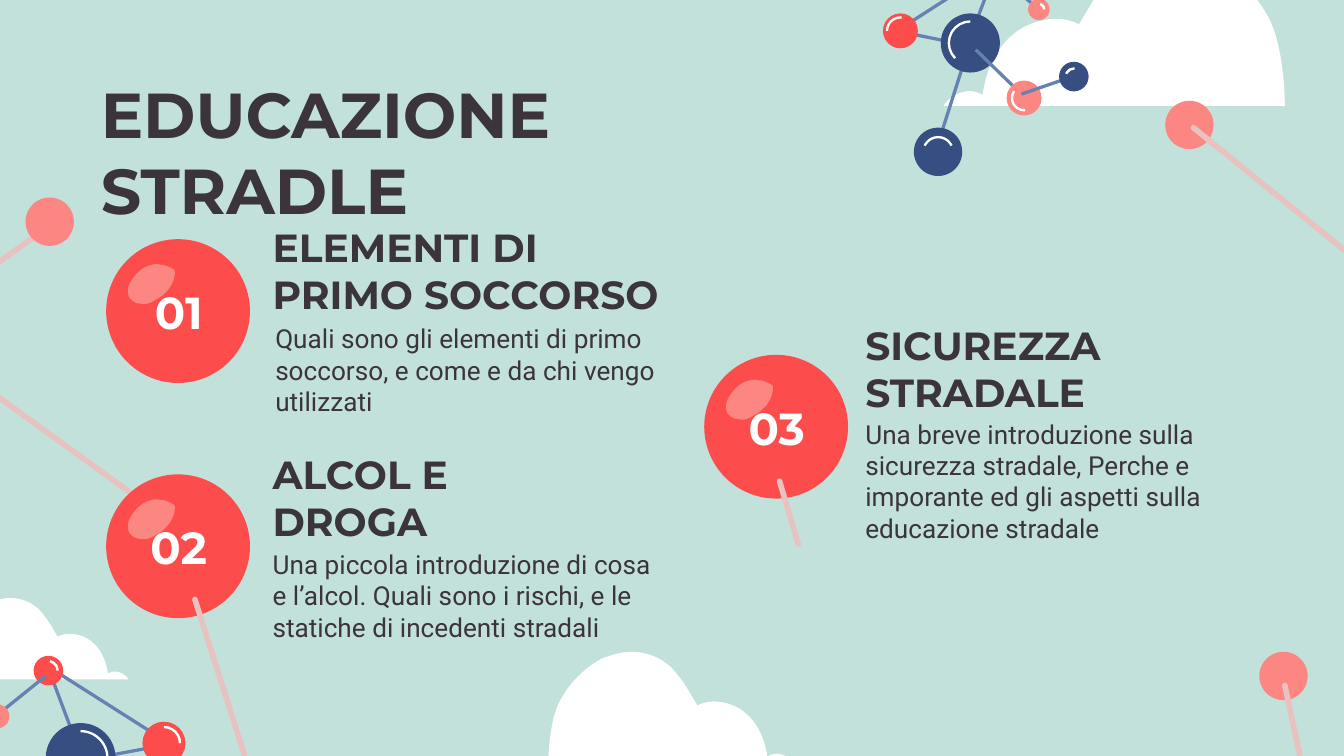
from pptx import Presentation
from pptx.dml.color import RGBColor
from pptx.enum.shapes import MSO_CONNECTOR, MSO_SHAPE
from pptx.enum.text import MSO_ANCHOR, MSO_AUTO_SIZE, PP_ALIGN
from pptx.oxml.ns import qn
from pptx.util import Inches, Pt
from lxml.etree import SubElement

HUES = {
    "mint": "C2E1DA", "white": "FFFFFF", "ink": "3B343B", "red": "FC4C4C",
    "pink": "FC8782", "rose": "E8C2C1", "navy": "364E82", "blue": "6582B2",
}
HEAD, BODY = "Montserrat", "Roboto"

CLOUD = [
    (.63, 0),
    (.55, 0, .48, .02, .4, .05), (.27, .12, .16, .23, .09, .36),
    (.03, .46, 0, .68, 0, .84), (0, .84, 1.84, .84, 1.84, .84),
    (1.81, .79, 1.75, .76, 1.7, .76), (1.67, .76, 1.65, .77, 1.63, .78),
    (1.61, .65, 1.56, .53, 1.46, .45), (1.4, .4, 1.31, .37, 1.23, .37),
    (1.19, .37, 1.15, .38, 1.11, .4), (1.06, .32, 1.02, .24, .96, .17),
    (.91, .1, .84, .05, .75, .02), (.71, .01, .67, 0, .63, 0),
]
GLEAM = [
    (.4, .19),
    (.37, .18, .34, .19, .31, .2), (.25, .22, .2, .28, .17, .34),
    (.16, .37, .16, .4, .17, .43), (.19, .46, .22, .48, .26, .48),
    (.3, .49, .34, .47, .37, .45), (.45, .41, .52, .32, .51, .23),
    (.48, .21, .44, .19, .4, .19),
]
UPPER = [
    ("bond", .9, .05, .73, .5), ("bond", .22, .49, .66, .58),
    ("bond", .69, .66, .47, 1.35),
    ("ball", .48, 1.38, .18, "navy", .11, 205, 335),
    ("ball", .72, .57, .22, "navy", .16, 135, 270),
    ("bond", .76, .62, 1.11, .96),
    ("ball", 1.12, .98, .13, "pink", .09, 85, 215),
    ("bond", .89, .02, .19, .47), ("bond", .93, .07, 1.22, .31),
    ("bond", 1.45, .83, 1.1, .95),
    ("ball", 1.23, .32, .08, "pink", .04, 285, 360),
    ("ball", 1.49, .82, .11, "navy", .06, 200, 275),
    ("ball", .2, .48, .13, "red", .1, 180, 275),
]
LOWER = [
    ("bond", .57, .2, .78, .76), ("bond", 1.39, .75, .86, .85),
    ("ball", .8, .84, .26, "navy", .2, 270, 40),
    ("bond", .59, .18, 1.44, .72),
    ("ball", .56, .19, .11, "red", .07, 280, 360),
    ("bond", .54, .23, .18, .52),
    ("ball", .18, .53, .09, "pink"),
    ("ball", 1.42, .73, .16, "red", .12, 270, 360),
]
ITEMS = [
    ("01", (.79, 1.78), "ELEMENTI DI PRIMO SOCCORSO", (1.93, 1.58, 3.14, .88),
     "Quali sono gli elementi di primo soccorso, e come e da chi vengo utilizzati",
     (1.95, 2.3, 3.14, .82)),
    ("03", (5.24, 2.64), "SICUREZZA STRADALE", (6.34, 2.47, 1.98, .72),
     "Una breve introduzione sulla sicurezza stradale, Perche e imporante ed gli "
     "aspetti sulla educazione stradale", (6.34, 3.01, 2.75, 1.07)),
    ("02", (.79, 3.53), "ALCOL E DROGA", (1.93, 3.65, 2.67, .5),
     "Una piccola introduzione di cosa e l’alcol. Quali sono i rischi, e le "
     "statiche di incedenti stradali", (1.93, 3.98, 3.02, .94)),
]


def rgb(name):
    """Return the named colour."""
    return RGBColor.from_string(HUES[name])


def paint(shape, hue):
    """Give a shape a flat fill with no line or shadow."""
    shape.shadow.inherit = False
    shape.fill.solid()
    shape.fill.fore_color.rgb = rgb(hue)
    shape.line.fill.background()


def blob(slide, left, top, curve, hue, scale=1, flip=1):
    """Draw a closed outline of cubic curves from its corner."""
    x, y = curve[0]
    dots = [(x, y)]
    for a, b, c, d, e, f in curve[1:]:
        for n in range(1, 13):
            t = n / 12
            u = 1 - t
            mix = (u ** 3, 3 * u * u * t, 3 * u * t * t, t ** 3)
            dots.append((sum(m * v for m, v in zip(mix, (x, a, c, e))),
                         sum(m * v for m, v in zip(mix, (y, b, d, f)))))
        x, y = e, f
    dots = [(Inches(left + flip * scale * h), Inches(top + scale * v)) for h, v in dots]
    build = slide.shapes.build_freeform(*dots[0])
    build.add_line_segments(dots[1:], close=True)
    paint(build.convert_to_shape(), hue)


def disc(slide, left, top, size, hue):
    """Draw a plain circle."""
    paint(slide.shapes.add_shape(MSO_SHAPE.OVAL, *map(Inches, (left, top, size, size))), hue)


def rod(slide, ends, hue="rose", width=3, cap="rnd"):
    """Draw a straight line between two points."""
    line = slide.shapes.add_connector(MSO_CONNECTOR.STRAIGHT, *map(Inches, ends))
    line.line.color.rgb = rgb(hue)
    line.line.width = Pt(width)
    props = line._element.spPr
    props.find(qn("a:ln")).set("cap", cap)
    SubElement(props, qn("a:effectLst"))


def glint(slide, x, y, size, start, end):
    """Draw a white arc around a centre."""
    arc = slide.shapes.add_shape(
        MSO_SHAPE.ARC, *map(Inches, (x - size, y - size, 2 * size, 2 * size)))
    arc.adjustments[0], arc.adjustments[1] = start * .6, end % 360 * .6
    arc.shadow.inherit = False
    arc.fill.background()
    arc.line.color.rgb = rgb("white")
    arc.line.width = Pt(1.25)


def model(slide, left, top, parts):
    """Draw a molecule of balls and bonds from its corner."""
    for kind, x, y, *rest in parts:
        x, y = left + x, top + y
        if kind == "bond":
            rod(slide, (x, y, left + rest[0], top + rest[1]), "blue", 1.75, "flat")
            continue
        size, hue, *arc = rest
        disc(slide, x - size, y - size, 2 * size, hue)
        if arc:
            glint(slide, x, y, *arc)


def write(shape, box, text, font, size, hue, bold=True,
          anchor=MSO_ANCHOR.TOP, align=PP_ALIGN.LEFT):
    """Place a text shape and set its words."""
    shape.left, shape.top, shape.width, shape.height = map(Inches, box)
    frame = shape.text_frame
    frame.text = text
    frame.word_wrap = True
    frame.auto_size = MSO_AUTO_SIZE.NONE
    frame.vertical_anchor = anchor
    frame.margin_left = frame.margin_right = Inches(.1)
    frame.margin_top = frame.margin_bottom = Inches(.1)
    para = frame.paragraphs[0]
    para.alignment = align
    para.font.name, para.font.size, para.font.bold = font, Pt(size), bold
    para.font.color.rgb = rgb(hue)


def label(slide, box, *args, **more):
    """Add a text box."""
    write(slide.shapes.add_textbox(*map(Inches, box)), box, *args, **more)


def topic(slide, mark, spot, head, top, body, base):
    """Draw one numbered ball with its heading and text."""
    x, y = spot
    disc(slide, x, y, 1.07, "red")
    blob(slide, x, y, GLEAM, "pink")
    label(slide, (x + .16, y + .28, .76, .52), mark, HEAD, 24, "white",
          anchor=MSO_ANCHOR.MIDDLE, align=PP_ALIGN.CENTER)
    label(slide, top, head, HEAD, 21, "ink", anchor=MSO_ANCHOR.BOTTOM)
    label(slide, base, body, BODY, 14, "ink", bold=False)


def decor(slide):
    """Draw the clouds, molecules and pins behind the topics."""
    blob(slide, 9.56, -.37, CLOUD, "white", 1.38, -1)
    model(slide, 6.5, -.25, UPPER)
    rod(slide, (-.15, 2.05, .4, 1.66))
    for x, y in ((.19, 1.47), (8.67, .75), (9.37, 4.85)):
        disc(slide, x, y, .36, "pink")
    rod(slide, (9.56, 5.1, 9.69, 5.71))
    blob(slide, 4.08, 4.85, CLOUD, "white")
    blob(slide, -.37, 4.45, CLOUD, "white", .72)
    model(slide, -.2, 4.8, LOWER)
    rod(slide, (8.88, .95, 10.1, 1.94))
    rod(slide, (-.06, 2.92, 1.1, 3.76))


def main():
    """Build and save the slide."""
    deck = Presentation()
    deck.slide_width = Inches(10)
    deck.slide_height = deck.slide_width * 9 // 16
    slide = deck.slides.add_slide(deck.slide_layouts[5])
    slide.background.fill.solid()
    slide.background.fill.fore_color.rgb = rgb("mint")
    decor(slide)
    write(slide.shapes.title, (.65, .46, 5.92, .63), "EDUCAZIONE STRADLE", HEAD, 34, "ink")
    for item in ITEMS:
        topic(slide, *item)
    rod(slide, (1.45, 4.46, 1.82, 5.62))
    rod(slide, (5.8, 3.58, 5.94, 4.05))
    deck.save("out.pptx")


if __name__ == "__main__":
    main()
